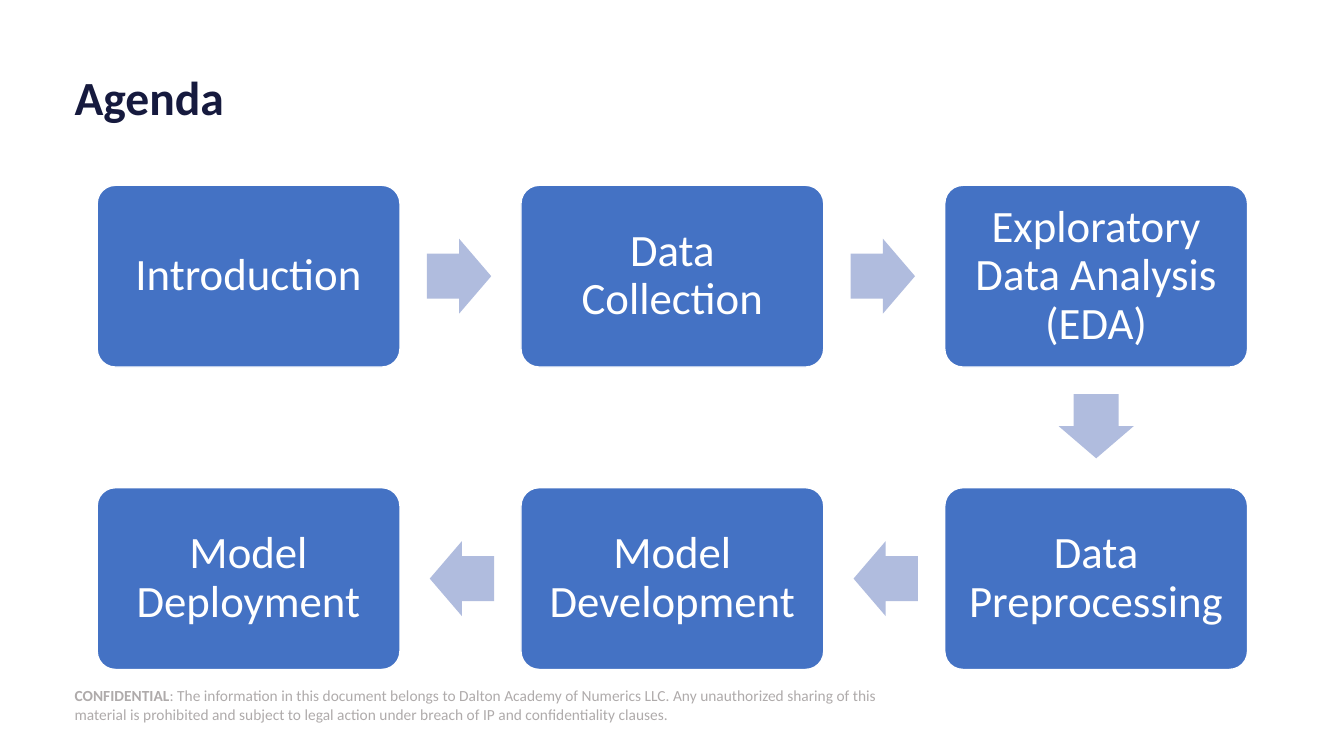
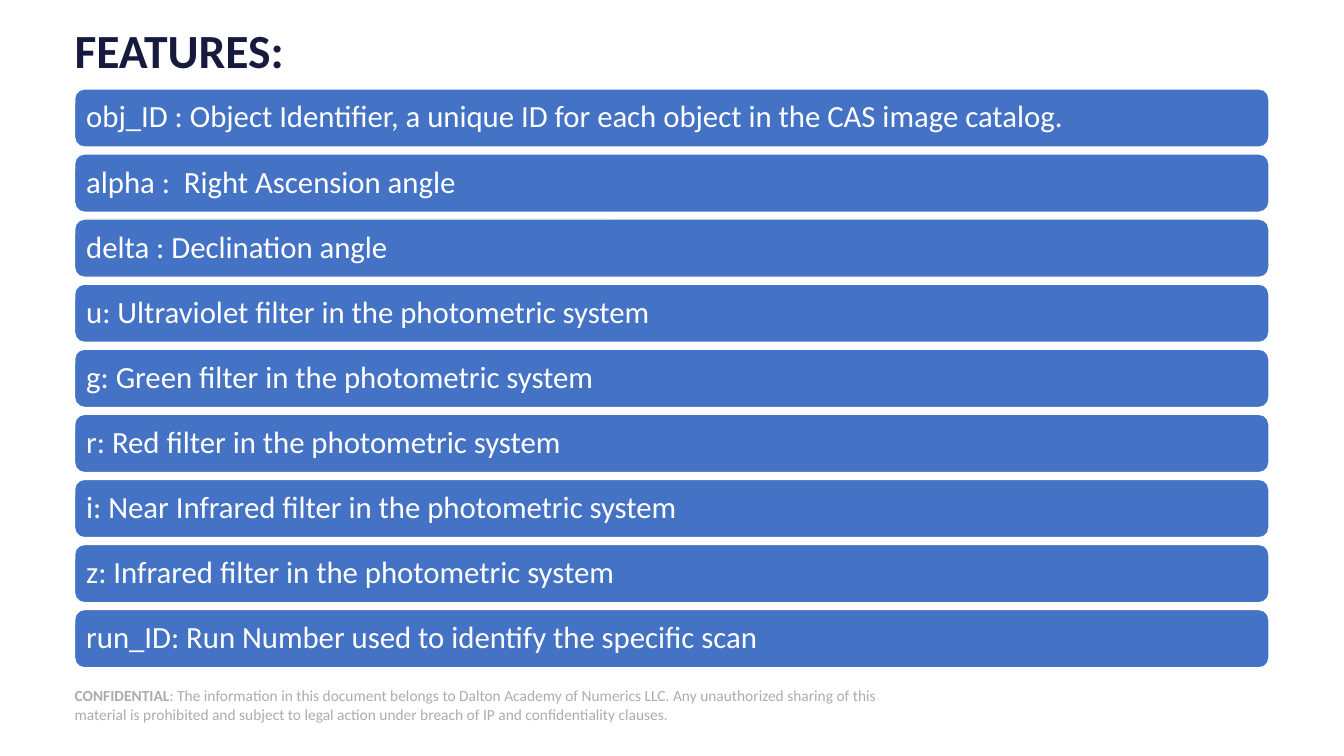
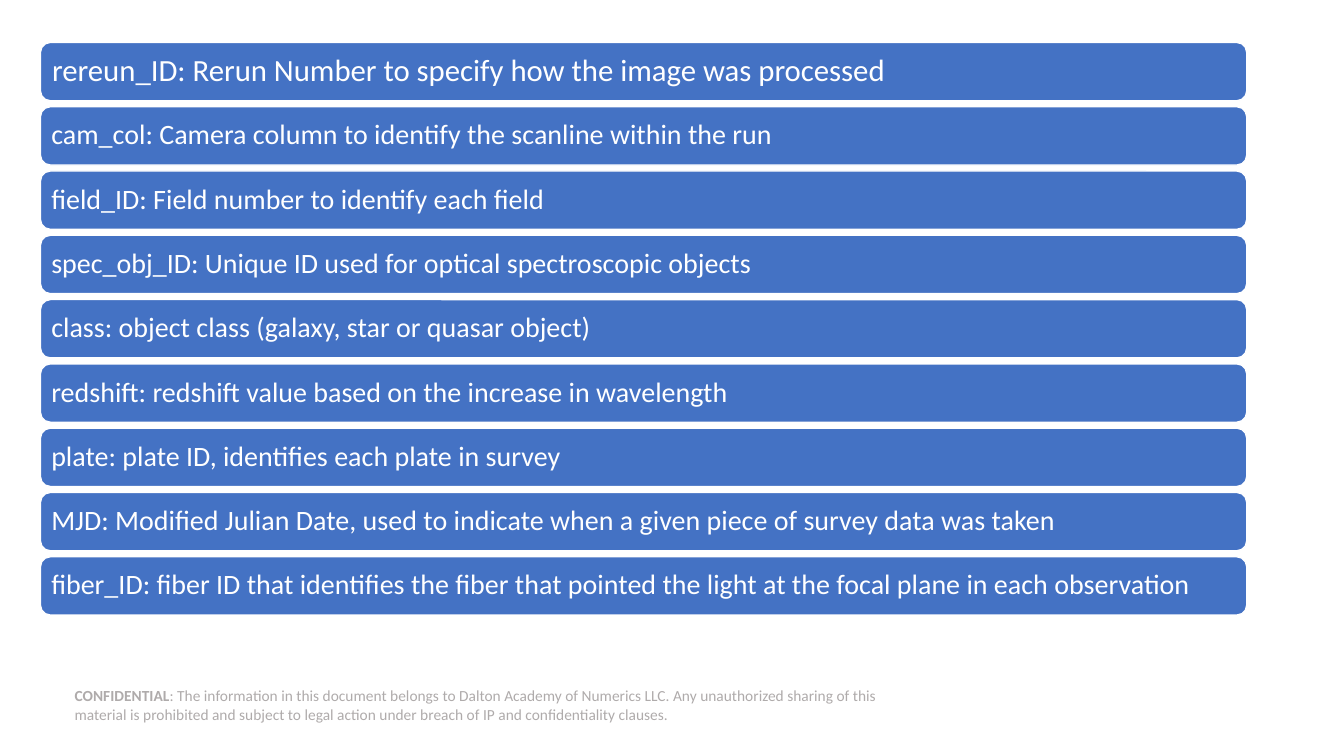
from pptx import Presentation
from pptx.dml.color import RGBColor
from pptx.enum import shapes, text
from pptx.util import Cm, Pt

NAVY = RGBColor(0x16, 0x1A, 0x3E)
BLUE = RGBColor(0x44, 0x72, 0xC4)
PALE_BLUE = RGBColor(0xB0, 0xBC, 0xDE)
GREY = RGBColor(0xAF, 0xAB, 0xAB)
WHITE = RGBColor(0xFF, 0xFF, 0xFF)

FONT = "Calibri"
MARGIN = 1.88
CONTENT_WIDTH = 30.1
TITLE_ONLY, BLANK = 5, 6

NOTICE = (
    "CONFIDENTIAL",
    ": The information in this document belongs to Dalton Academy of Numerics LLC. "
    "Any unauthorized sharing of this material is prohibited and subject to legal "
    "action under breach of IP and confidentiality clauses.",
)

AGENDA = [
    ("Introduction", 0, 0, (1, 0)),
    ("Data Collection", 1, 0, (1, 0)),
    ("Exploratory Data Analysis (EDA)", 2, 0, (0, 1)),
    ("Data Preprocessing", 2, 1, (-1, 0)),
    ("Model Development", 1, 1, (-1, 0)),
    ("Model Deployment", 0, 1, None),
]

PHOTOMETRIC_FEATURES = [
    "obj_ID : Object Identifier, a unique ID for each object in the CAS image catalog.",
    "alpha :  Right Ascension angle",
    "delta : Declination angle",
    "u: Ultraviolet filter in the photometric system",
    "g: Green filter in the photometric system",
    "r: Red filter in the photometric system",
    "i: Near Infrared filter in the photometric system",
    "z: Infrared filter in the photometric system",
    "run_ID: Run Number used to identify the specific scan",
]

SURVEY_FEATURES = [
    "rereun_ID: Rerun Number to specify how the image was processed",
    "cam_col: Camera column to identify the scanline within the run",
    "field_ID: Field number to identify each field",
    "spec_obj_ID: Unique ID used for optical spectroscopic objects",
    "class: object class (galaxy, star or quasar object)",
    "redshift: redshift value based on the increase in wavelength",
    "plate: plate ID, identifies each plate in survey",
    "MJD: Modified Julian Date, used to indicate when a given piece of survey data was taken",
    "fiber_ID: fiber ID that identifies the fiber that pointed the light at the focal plane "
    "in each observation",
]


class Deck:
    def __init__(self):
        self.file = Presentation()
        self.file.slide_width = Cm(33.87)
        self.file.slide_height = Cm(19.05)
        self.page = None

    def add_page(self, title=None, title_top=0):
        layout = self.file.slide_layouts[BLANK if title is None else TITLE_ONLY]
        self.page = self.file.slides.add_slide(layout)
        self.footer()
        if title is not None:
            self.title(title, title_top)

    def title(self, wording, top):
        box = self.page.shapes.title
        box.left, box.top = Cm(MARGIN), Cm(top)
        box.width, box.height = Cm(CONTENT_WIDTH), Cm(1.7)
        box.text_frame.text = wording
        self.format_text(box, 34, NAVY, bold=True)

    def footer(self):
        box = self.page.shapes.add_textbox(Cm(MARGIN), Cm(17.25), Cm(20.75), Cm(1.02))
        para = box.text_frame.paragraphs[0]
        for wording in NOTICE:
            para.add_run().text = wording
        self.format_text(box, 11, GREY, spacing=1)
        para.runs[0].font.bold = True

    def format_text(self, box, size, color, margin=0, bold=False, spacing=0.9,
                    align=text.PP_ALIGN.LEFT):
        frame = box.text_frame
        frame.word_wrap = True
        frame.auto_size = text.MSO_AUTO_SIZE.NONE
        frame.vertical_anchor = text.MSO_ANCHOR.MIDDLE
        frame.margin_left = frame.margin_right = Cm(margin)
        frame.margin_top = frame.margin_bottom = Cm(margin)
        for para in frame.paragraphs:
            para.alignment = align
            para.line_spacing = spacing
            for span in para.runs:
                span.font.name = FONT
                span.font.size = Pt(size)
                span.font.bold = bold
                span.font.color.rgb = color

    def shape(self, kind, left, top, width, height, fill):
        shape = self.page.shapes.add_shape(kind, Cm(left), Cm(top), Cm(width), Cm(height))
        shape.shadow.inherit = False
        shape.fill.solid()
        shape.fill.fore_color.rgb = fill
        shape.line.fill.background()
        return shape

    def card(self, wording, left, top, width, height, size, margin, corner=0.17,
             align=text.PP_ALIGN.LEFT):
        card = self.shape(shapes.MSO_SHAPE.ROUNDED_RECTANGLE, left, top, width, height, BLUE)
        card.adjustments[0] = corner
        card.line.color.rgb = WHITE
        card.line.width = Pt(1)
        card.text_frame.text = wording
        self.format_text(card, size, WHITE, margin, align=align)

    def arrow(self, center_x, center_y, direction):
        length, breadth = 1.62, 1.89
        arrow = self.shape(shapes.MSO_SHAPE.RIGHT_ARROW, center_x - length / 2,
                           center_y - breadth / 2, length, breadth, PALE_BLUE)
        arrow.adjustments[0] = 0.6
        arrow.adjustments[1] = 0.5
        arrow.rotation = {(1, 0): 0, (0, 1): 90, (-1, 0): 180}[direction]

    def flow(self, steps):
        width, height, gap = 7.63, 4.58, 1.49
        for wording, column, row, direction in steps:
            left, top = 2.45 + column * 10.68, 4.67 + row * 7.62
            self.card(wording, left, top, width, height, 32, 0.33, 0.1, text.PP_ALIGN.CENTER)
            if direction:
                across, down = direction
                self.arrow(left + width / 2 + across * (width / 2 + gap),
                           top + height / 2 + down * (height / 2 + gap), direction)

    def feature_list(self, features, left, top, width, pitch, sizes):
        for index, (feature, size) in enumerate(zip(features, sizes)):
            self.card(feature, left, top + index * pitch, width, 1.47, size, size / 100)


def main():
    deck = Deck()
    deck.add_page("Agenda", 1.68)
    deck.flow(AGENDA)

    deck.add_page("FEATURES:", 0.48)
    deck.feature_list(PHOTOMETRIC_FEATURES, MARGIN, 2.24, CONTENT_WIDTH, 1.64, [22] * 9)

    deck.add_page()
    deck.feature_list(SURVEY_FEATURES, 1.02, 1.07, 30.4, 1.62, [22] + [20] * 8)
    deck.file.save("out.pptx")


if __name__ == "__main__":
    main()
